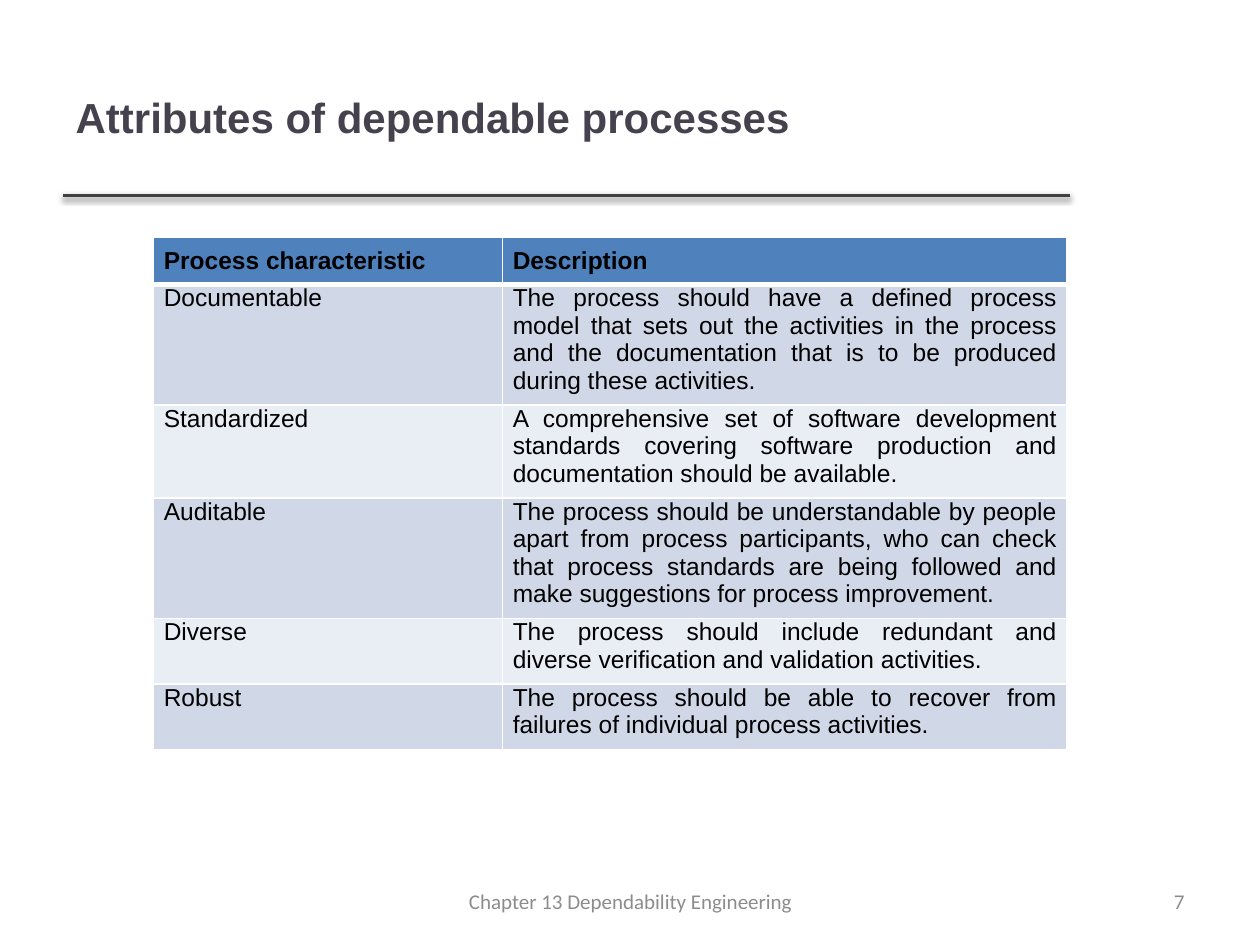
"""Build the slide on attributes of dependable processes."""
from lxml.etree import SubElement
from pptx import Presentation
from pptx.dml.color import RGBColor
from pptx.enum.shapes import MSO_CONNECTOR
from pptx.enum.text import MSO_ANCHOR, PP_ALIGN
from pptx.oxml.ns import qn
from pptx.util import Inches, Pt

ROWS = [
    ("Process characteristic", "Description"),
    ("Documentable", "The process should have a defined process model that sets out the activities "
     "in the process and the documentation that is to be produced during these activities."),
    ("Standardized", "A comprehensive set of software development standards covering software "
     "production and documentation should be available."),
    ("Auditable", "The process should be understandable by people apart from process participants, "
     "who can check that process standards are being followed and make suggestions for process "
     "improvement."),
    ("Diverse", "The process should include redundant and diverse verification and validation "
     "activities."),
    ("Robust", "The process should be able to recover from failures of individual process "
     "activities."),
]
COL_WIDTHS = [2.77, 4.48]
ROW_HEIGHTS = [0.37, 0.95, 0.74, 0.95, 0.52, 0.52]


def rgb(color):
    return RGBColor.from_string(color)


def add_color(parent, color, alpha=None):
    clr = SubElement(parent, qn("a:srgbClr"), val=color)
    if alpha is not None:
        SubElement(clr, qn("a:alpha"), val=str(alpha * 1000))


class SlideBuilder:
    HEADING, BODY, FOOT = "Arial", "Arial", "Calibri"
    HEADER_FILL, BANDS = "4F81BD", ("E9EDF4", "D0D8E8")

    def __init__(self, prs):
        self.slide = prs.slides.add_slide(prs.slide_layouts[5])

    def format(self, p, text, font, size, color, align, bold=False):
        p.text = text
        p.alignment = align
        p.font.name, p.font.size, p.font.bold = font, Pt(size), bold
        p.font.color.rgb = rgb(color)

    def title(self, text, x, y, w, h):
        sp = self.slide.shapes.title
        sp.left, sp.top, sp.width, sp.height = map(Inches, (x, y, w, h))
        tf = sp.text_frame
        tf.vertical_anchor = MSO_ANCHOR.MIDDLE
        self.format(tf.paragraphs[0], text, self.HEADING, 24, "46424D", PP_ALIGN.LEFT, True)

    def rule(self, x1, x2, y):
        line = self.slide.shapes.add_connector(
            MSO_CONNECTOR.STRAIGHT, Inches(x1), Inches(y), Inches(x2), Inches(y))
        line.line.width = Pt(2)
        line.line.color.rgb = rgb("404040")
        effects = SubElement(line._element.spPr, qn("a:effectLst"))
        shadow = SubElement(effects, qn("a:outerShdw"), blurRad=str(Pt(3.1)),
                            dist=str(Pt(1.6)), dir=str(90 * 60000), rotWithShape="0")
        add_color(shadow, "000000", 38)

    def border(self, cell, side, width):
        ln = SubElement(cell._tc.get_or_add_tcPr(), qn(f"a:ln{side}"), w=str(Pt(width)))
        add_color(SubElement(ln, qn("a:solidFill")), "FFFFFF")

    def cell(self, cell, text, row):
        header = row == 0
        cell.margin_left = cell.margin_right = cell.margin_bottom = Inches(0.08)
        cell.margin_top = Inches(0.08 if header else 0)
        self.format(cell.text_frame.paragraphs[0], text, self.BODY, 14, "000000",
                    PP_ALIGN.JUSTIFY, header)
        widths = {"L": 1, "R": 1, "T": 3 if row == 1 else 1, "B": 3 if header else 1}
        for side, width in widths.items():
            self.border(cell, side, width)
        cell.fill.solid()
        cell.fill.fore_color.rgb = rgb(self.HEADER_FILL if header else self.BANDS[row % 2])

    def table(self, rows, x, y, col_widths, row_heights):
        table = self.slide.shapes.add_table(
            len(rows), len(col_widths), Inches(x), Inches(y),
            Inches(sum(col_widths)), Inches(sum(row_heights))).table
        for col, width in zip(table.columns, col_widths):
            col.width = Inches(width)
        for r, (row, height) in enumerate(zip(rows, row_heights)):
            table.rows[r].height = Inches(height)
            for c, text in enumerate(row):
                self.cell(table.cell(r, c), text, r)

    def footer(self, text, x, w, align):
        sp = self.slide.shapes.add_textbox(Inches(x), Inches(6.95), Inches(w), Inches(0.4))
        tf = sp.text_frame
        tf.word_wrap = True
        tf.vertical_anchor = MSO_ANCHOR.MIDDLE
        self.format(tf.paragraphs[0], text, self.FOOT, 12, "8C8C8C", align)


def main():
    prs = Presentation()
    prs.slide_width, prs.slide_height = Inches(10), Inches(7.5)
    s = SlideBuilder(prs)
    s.rule(0.5, 8.49, 1.55)
    s.title("Attributes of dependable processes", 0.5, 0.3, 7.98, 1.25)
    s.table(ROWS, 1.22, 1.88, COL_WIDTHS, ROW_HEIGHTS)
    s.footer("7", 7.17, 2.33, PP_ALIGN.RIGHT)
    s.footer("Chapter 13 Dependability Engineering", 3.42, 3.17, PP_ALIGN.CENTER)
    prs.save("out.pptx")


if __name__ == "__main__":
    main()
